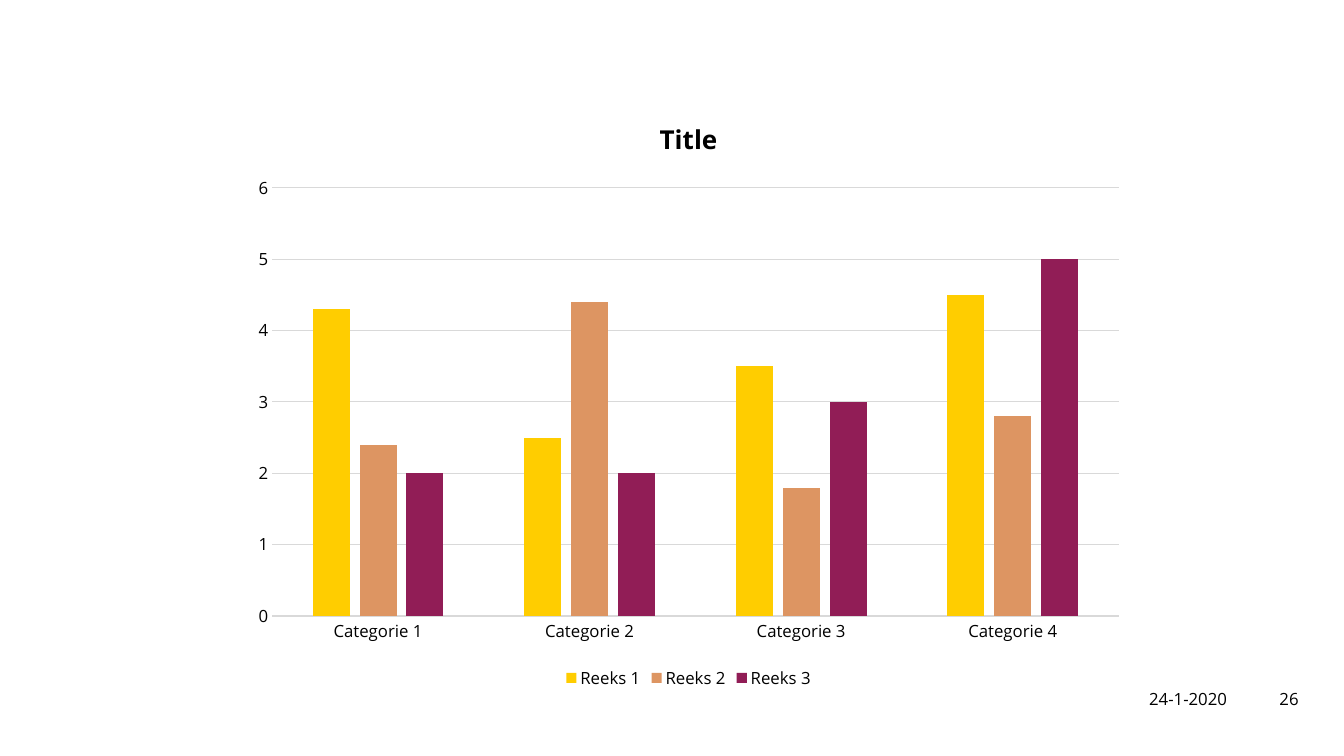
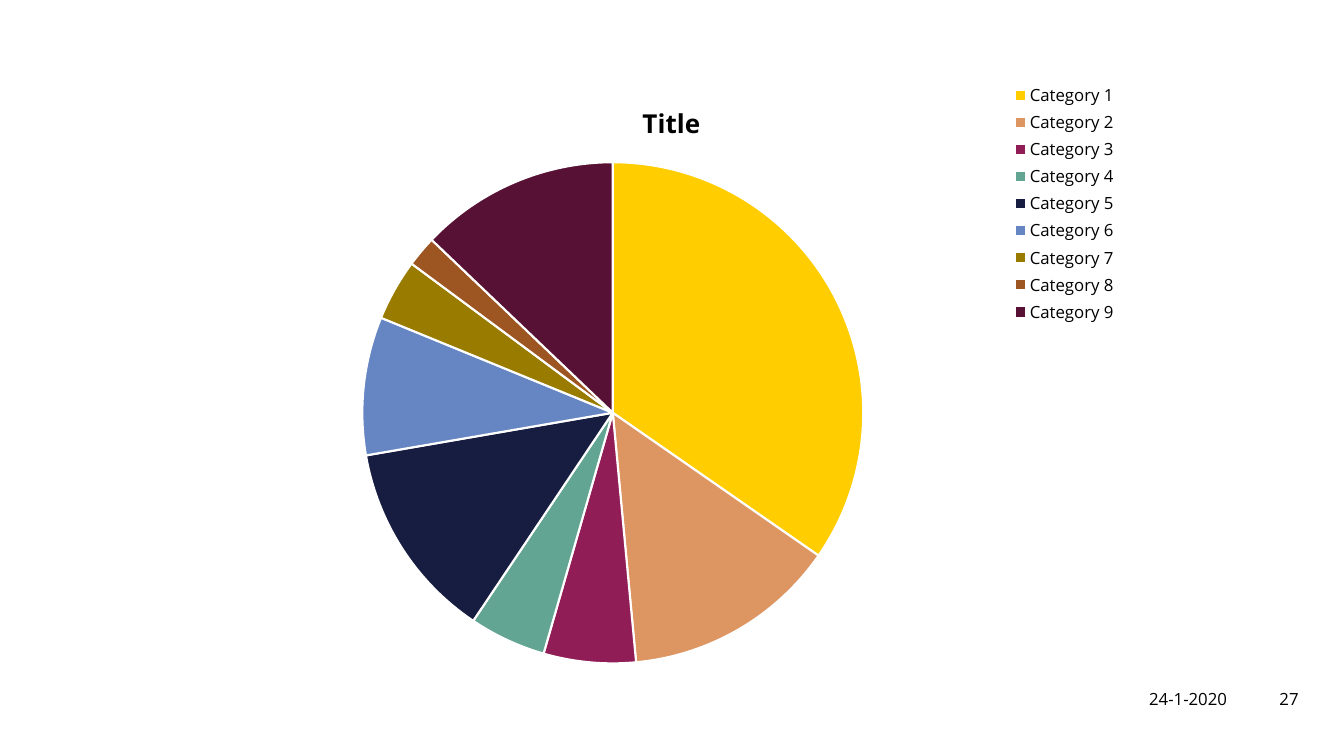
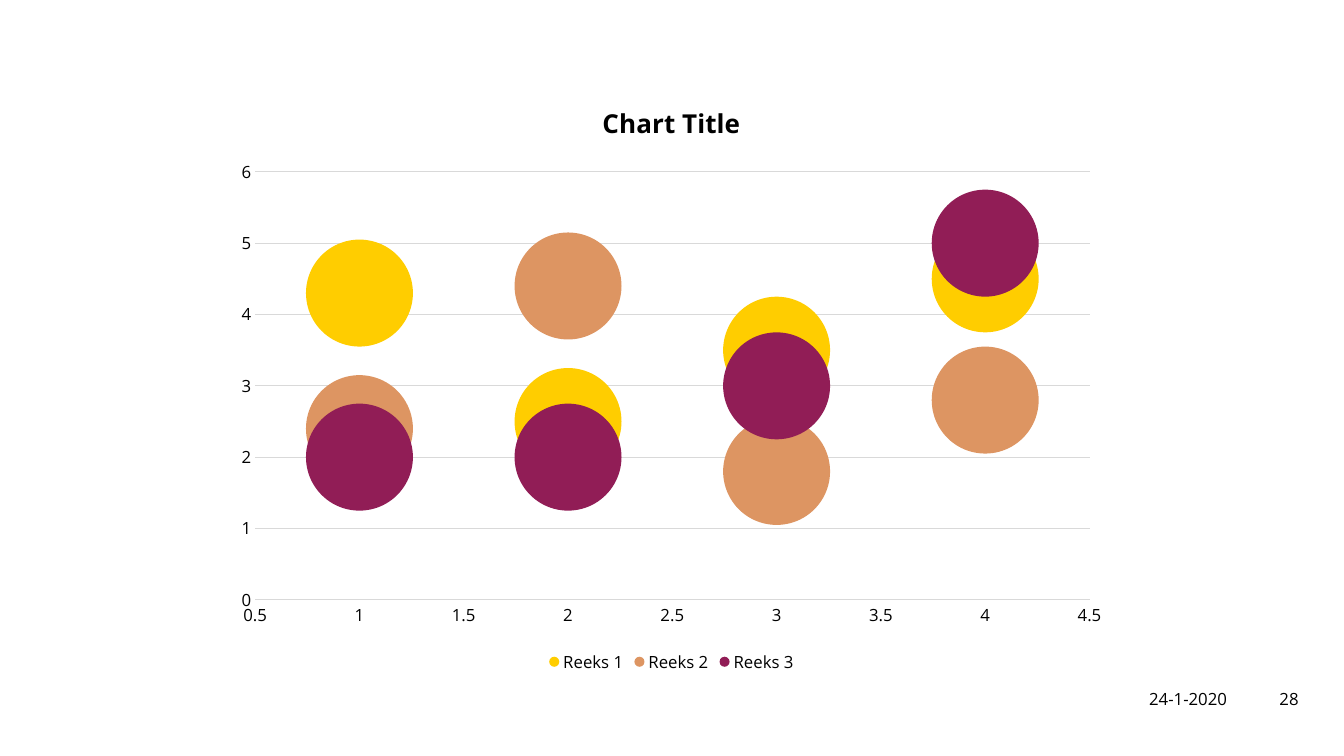
from pptx import Presentation
from pptx import util as u
from pptx.chart import data as cd
from pptx.dml.color import RGBColor
from pptx.enum import chart as ch, text as tx

PX = 9144
FACE = "Open Sans"
BLACK = RGBColor(0x00, 0x00, 0x00)
WHITE = RGBColor(0xFF, 0xFF, 0xFF)
GREY = RGBColor(0xD9, 0xD9, 0xD9)
YELLOW = RGBColor(0xFF, 0xCD, 0x00)
ORANGE = RGBColor(0xDD, 0x95, 0x62)
PLUM = RGBColor(0x91, 0x1D, 0x56)
GREEN = RGBColor(0x63, 0xA5, 0x93)
NAVY = RGBColor(0x16, 0x1D, 0x41)
BLUE = RGBColor(0x66, 0x86, 0xC3)
OLIVE = RGBColor(0x99, 0x7B, 0x00)
BROWN = RGBColor(0x9D, 0x55, 0x22)
WINE = RGBColor(0x57, 0x11, 0x34)
COLORS = [YELLOW, ORANGE, PLUM, GREEN, NAVY, BLUE, OLIVE, BROWN, WINE]

ROWS = {
    "Reeks 1": (4.3, 2.5, 3.5, 4.5),
    "Reeks 2": (2.4, 4.4, 1.8, 2.8),
    "Reeks 3": (2, 2, 3, 5),
}
SHARES = (35, 14, 6, 5, 13, 9, 4, 2, 13)


def px(*nums):
    return [u.Emu(n * PX) for n in nums]


def style(font, size=12, bold=False, color=BLACK):
    font.name = FACE
    font.size = u.Pt(size)
    font.bold = bold
    font.color.rgb = color


def write(frame, words, align=None, **form):
    par = frame.paragraphs[0]
    par.alignment = align
    run = par.add_run()
    run.text = words
    style(run.font, **form)


def label(slide, words, *box):
    frame = slide.shapes.add_textbox(*px(*box)).text_frame
    frame.word_wrap = True
    frame.vertical_anchor = tx.MSO_ANCHOR.MIDDLE
    frame.margin_left = frame.margin_right = 0
    frame.margin_top = frame.margin_bottom = 0
    write(frame, words, align=tx.PP_ALIGN.RIGHT)


def page(prs, num):
    slide = prs.slides.add_slide(prs.slide_layouts[6])
    label(slide, "24-1-2020", 1127, 673, 91, 40)
    label(slide, str(num), 1219, 673, 70, 41)
    return slide


def plot(slide, kind, data, title, left=222, top=79,
         legend=ch.XL_LEGEND_POSITION.BOTTOM):
    chart = slide.shapes.add_chart(kind, *px(left, top, 889, 593), data).chart
    style(chart.font)
    chart.has_title = True
    write(chart.chart_title.text_frame, title, size=18.6, bold=True)
    chart.has_legend = True
    chart.legend.position = legend
    chart.legend.include_in_layout = False
    style(chart.legend.font)
    return chart


def rule(line):
    line.color.rgb = GREY
    line.width = u.Pt(0.75)


def scale(axis, low, high, step):
    axis.minimum_scale = low
    axis.maximum_scale = high
    axis.major_unit = step


def axes(chart):
    base, side = chart.category_axis, chart.value_axis
    for axis in (base, side):
        axis.major_tick_mark = axis.minor_tick_mark = ch.XL_TICK_MARK.NONE
        axis.has_major_gridlines = axis is side
        style(axis.tick_labels.font)
    rule(base.format.line)
    rule(side.major_gridlines.format.line)
    side.format.line.fill.background()
    scale(side, 0, 6, 1)


def paint(items, edge=None):
    for item, color in zip(items, COLORS):
        item.format.fill.solid()
        item.format.fill.fore_color.rgb = color
        if edge:
            item.format.line.color.rgb = edge
            item.format.line.width = u.Pt(1.5)
        else:
            item.format.line.fill.background()


def columns(slide):
    data = cd.CategoryChartData()
    data.categories = [f"Categorie {n}" for n in range(1, 5)]
    for name, vals in ROWS.items():
        data.add_series(name, vals)
    chart = plot(slide, ch.XL_CHART_TYPE.COLUMN_CLUSTERED, data, "Title",
                 left=239, top=95)
    bars = chart.plots[0]
    bars.vary_by_categories = False
    bars.gap_width = 219
    bars.overlap = -27
    paint(bars.series)
    axes(chart)


def pie(slide):
    data = cd.CategoryChartData()
    data.categories = [f"Category {n}" for n in range(1, 10)]
    data.add_series("Series 1", SHARES)
    chart = plot(slide, ch.XL_CHART_TYPE.PIE, data, "Title",
                 legend=ch.XL_LEGEND_POSITION.CORNER)
    disc = chart.plots[0]
    disc.vary_by_categories = True
    points = disc.series[0].points
    paint([points[n] for n in range(len(SHARES))], edge=WHITE)


def bubbles(slide):
    data = cd.BubbleChartData()
    for name, vals in ROWS.items():
        row = data.add_series(name)
        for x, y in enumerate(vals, 1):
            row.add_data_point(x, y, 1)
    chart = plot(slide, ch.XL_CHART_TYPE.BUBBLE, data, "Chart Title")
    cloud = chart.plots[0]
    cloud.bubble_scale = 100
    paint(cloud.series)
    axes(chart)
    scale(chart.category_axis, 0.5, 4.5, 0.5)


def main():
    prs = Presentation()
    prs.slide_width, prs.slide_height = px(1334, 750)
    for num, draw in enumerate((columns, pie, bubbles), 26):
        draw(page(prs, num))
    prs.save("out.pptx")


if __name__ == "__main__":
    main()
